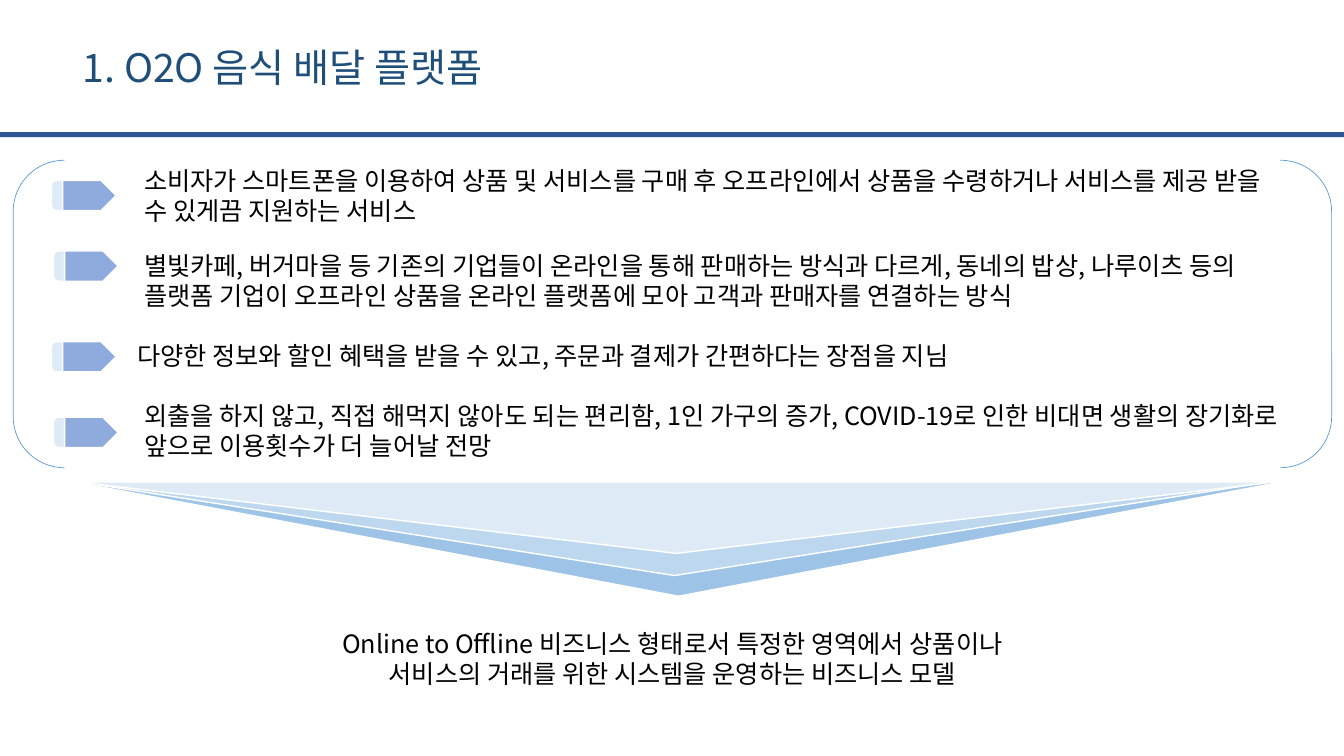
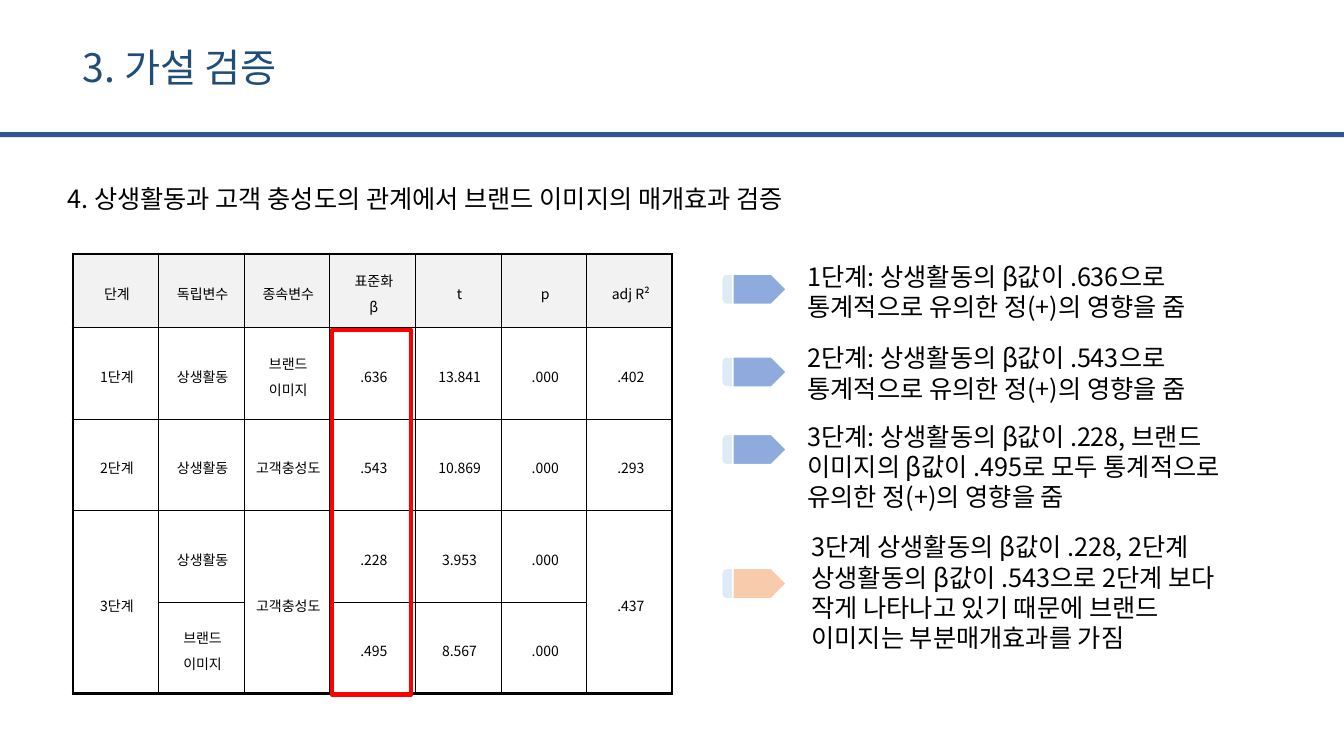
from dataclasses import dataclass
from typing import Optional

from lxml.etree import SubElement
from pptx import Presentation
from pptx.dml.color import RGBColor as RGB
from pptx.enum.shapes import MSO_SHAPE as SHAPE
from pptx.enum.text import MSO_ANCHOR as ANCHOR, MSO_AUTO_SIZE as FIT, PP_ALIGN as ALIGN
from pptx.oxml.ns import qn
from pptx.util import Emu, Inches, Pt


# Shared look: colours, type and line widths
@dataclass(frozen=True)
class Theme:
    font: str = "Noto Sans CJK KR"
    title: str = "1F4E79"
    band: str = "2F5597"
    ink: str = "000000"
    white: str = "FFFFFF"
    tab: str = "DEEBF7"
    arrow: str = "8FAADC"
    conclusion: str = "F8CBAD"
    bracket: str = "5B9BD5"
    funnel: tuple = ("9DC3E6", "BDD7EE", "DEEBF7")
    header: str = "F2F2F2"
    highlight: str = "FF0000"
    title_size: float = 28
    body_size: float = 18
    table_size: float = 10
    title_leading: float = 33.5
    body_leading: float = 21.5
    thin: float = 0.25
    thick: float = 1.7


THEME = Theme()
WIDTH, HEIGHT = Inches(13.33), Inches(7.5)


def across(percent: float) -> Emu:
    return Emu(round(WIDTH * percent / 100))


def down(percent: float) -> Emu:
    return Emu(round(HEIGHT * percent / 100))


@dataclass(frozen=True)
class Box:
    """Place and size as percentages of the slide."""
    left: float
    top: float
    width: float
    height: float

    def emu(self) -> tuple:
        return across(self.left), down(self.top), across(self.width), down(self.height)


@dataclass(frozen=True)
class Point:
    """A list entry and the marker beside it."""
    text: str
    marker_left: float
    marker_top: float
    gap: float = 0  # points above
    indent: float = 0  # inches
    colour: str = THEME.arrow


TITLE = Box(5.4, 5.07, 80, 7.6)
BAND = Box(0, 17.47, 100, 0.67)

# Slide 1 content
PLATFORM_LIST = Box(9.45, 21.2, 86.7, 40.67)
PLATFORM_POINTS = [
    Point("소비자가 스마트폰을 이용하여 상품 및 서비스를 구매 후 오프라인에서 상품을 "
          "수령하거나 서비스를 제공 받을 수 있게끔 지원하는 서비스", 3.83, 23.87, indent=0.07),
    Point("별빛카페, 버거마을 등 기존의 기업들이 온라인을 통해 판매하는 방식과 다르게, "
          "동네의 밥상, 나루이츠 등의 플랫폼 기업이 오프라인 상품을 온라인 플랫폼에 모아 "
          "고객과 판매자를 연결하는 방식", 3.98, 33.2, 18, 0.07),
    Point("다양한 정보와 할인 혜택을 받을 수 있고, 주문과 결제가 간편하다는 장점을 지님",
          3.83, 45.2, 21.5),
    Point("외출을 하지 않고, 직접 해먹지 않아도 되는 편리함, 1인 가구의 증가, COVID-19로 "
          "인한 비대면 생활의 장기화로 앞으로 이용횟수가 더 늘어날 전망", 3.98, 55.2, 21, 0.07),
]
BRACKET = Box(0.98, 21.2, 98.1, 40.67)
FUNNEL = [
    (SHAPE.PENTAGON, Box(46.2, -8.93, 8.55, 160.4), 90),
    (SHAPE.ISOSCELES_TRIANGLE, Box(5.4, 63.6, 89.55, 12.53), 180),
    (SHAPE.ISOSCELES_TRIANGLE, Box(5.7, 63.73, 89.25, 9.47), 180),
]
SUMMARY = Box(22.35, 82.53, 55.35, 9.47)
SUMMARY_LINES = ["Online to Offline 비즈니스 형태로서 특정한 영역에서 상품이나",
                 "서비스의 거래를 위한 시스템을 운영하는 비즈니스 모델"]

# Slide 2 content
HEADING = Box(4.28, 23.6, 86.2, 5.33)
FINDINGS_LIST = Box(59.33, 33.87, 33.4, 53.33)
FINDINGS = [
    Point("1단계: 상생활동의 β값이 .636으로 통계적으로 유의한 정(+)의 영향을 줌", 53.7, 36.27),
    Point("2단계: 상생활동의 β값이 .543으로 통계적으로 유의한 정(+)의 영향을 줌",
          53.7, 47.2, 15.5),
    Point("3단계: 상생활동의 β값이 .228, 브랜드 이미지의 β값이 .495로 모두 "
          "통계적으로 유의한 정(+)의 영향을 줌", 53.7, 57.47, 13),
    Point("3단계 상생활동의 β값이 .228, 2단계 상생활동의 β값이 .543으로 2단계 보다 작게 "
          "나타나고 있기 때문에 브랜드 이미지는 부분매개효과를 가짐",
          53.7, 75.2, 14.5, 0.04, THEME.conclusion),
]
REGRESSION = Box(5.4, 33.6, 44.62, 58.13)
HEADER_HEIGHT, ROW_HEIGHT = 9.73, 12.1
BETA_FRAME = Box(24.68, 43.6, 5.92, 48.27)
REGRESSION_ROWS = [
    ["단계", "독립변수", "종속변수", "표준화\nβ", "t", "p", "adj R²"],
    ["1단계", "상생활동", "브랜드\n이미지", ".636", "13.841", ".000", ".402"],
    ["2단계", "상생활동", "고객충성도", ".543", "10.869", ".000", ".293"],
    ["3단계", "상생활동", "고객충성도", ".228", "3.953", ".000", ".437"],
    ["", "브랜드\n이미지", "", ".495", "8.567", ".000", ""],
]
MERGED_COLUMNS = (0, 2, 6)


# Drawing helpers
def style(paragraph, size: float, leading, colour: str = THEME.ink,
          align=ALIGN.LEFT, gap: float = 0, indent: float = 0) -> None:
    """Format one paragraph; a float leading is a multiple, a Pt is exact."""
    properties = paragraph._p.get_or_add_pPr()
    properties.set("marL", str(Inches(indent)))
    properties.set("indent", "0")
    SubElement(properties, qn("a:buNone"))
    paragraph.alignment = align
    paragraph.line_spacing = leading
    paragraph.space_before = Pt(gap)
    font = paragraph.font
    font.size, font.name = Pt(size), THEME.font
    font.color.rgb = RGB.from_string(colour)
    SubElement(properties.find(qn("a:defRPr")), qn("a:ea"), typeface=THEME.font)


def draw(shapes, kind, box: Box, fill: Optional[str] = None,
         line: Optional[str] = None, weight: float = 1):
    shape = shapes.add_shape(kind, *box.emu())
    shape.shadow.inherit = False
    if fill:
        shape.fill.solid()
        shape.fill.fore_color.rgb = RGB.from_string(fill)
    else:
        shape.fill.background()
    if line:
        shape.line.color.rgb = RGB.from_string(line)
        shape.line.width = Pt(weight)
    else:
        shape.line.fill.background()
    return shape


def write(slide, box: Box, lines: list[str], align=ALIGN.LEFT) -> None:
    frame = slide.shapes.add_textbox(*box.emu()).text_frame
    frame.word_wrap = True
    frame.text = "\n".join(lines)
    for paragraph in frame.paragraphs:
        style(paragraph, THEME.body_size, Pt(THEME.body_leading), align=align)


def draw_marker(slide, point: Point) -> None:
    group = slide.shapes.add_group_shape().shapes
    left, top = point.marker_left, point.marker_top
    draw(group, SHAPE.ROUNDED_RECTANGLE, Box(left, top, 2.55, 4), THEME.tab, THEME.white)
    draw(group, SHAPE.PENTAGON, Box(left + 0.83, top, 3.98, 4), point.colour, THEME.white)


def add_points_slide(deck, title: str, body: Box, points: list[Point]):
    """Start a slide with its title, band and marked list."""
    slide = deck.slides.add_slide(deck.slide_layouts[1])
    draw(slide.shapes, SHAPE.RECTANGLE, BAND, THEME.band)
    heading, listing = slide.shapes.title, slide.placeholders[1]
    for holder, box in ((heading, TITLE), (listing, body)):
        holder.left, holder.top, holder.width, holder.height = box.emu()
        holder.text_frame.auto_size = FIT.NONE
        holder.text_frame.vertical_anchor = ANCHOR.TOP
    heading.text_frame.text = title
    style(heading.text_frame.paragraphs[0], THEME.title_size,
          Pt(THEME.title_leading), THEME.title)
    listing.text_frame.text = "\n".join(point.text for point in points)
    for paragraph, point in zip(listing.text_frame.paragraphs, points):
        style(paragraph, THEME.body_size, Pt(THEME.body_leading),
              gap=point.gap, indent=point.indent)
        draw_marker(slide, point)
    return slide


def set_border(cell, side: str, weight: float) -> None:
    edge = SubElement(cell._tc.get_or_add_tcPr(), qn(f"a:ln{side}"), w=str(Pt(weight)))
    SubElement(SubElement(edge, qn("a:solidFill")), qn("a:srgbClr"), val=THEME.ink)


def add_regression_table(slide) -> None:
    row_count, column_count = len(REGRESSION_ROWS), len(REGRESSION_ROWS[0])
    table = slide.shapes.add_table(row_count, column_count, *REGRESSION.emu()).table
    table.first_row = table.horz_banding = False
    for column in table.columns:
        column.width = across(REGRESSION.width / column_count)
    for index, row in enumerate(table.rows):
        row.height = down(ROW_HEIGHT if index else HEADER_HEIGHT)
    for column in MERGED_COLUMNS:
        table.cell(row_count - 2, column).merge(table.cell(row_count - 1, column))
    for r, values in enumerate(REGRESSION_ROWS):
        for c, value in enumerate(values):
            cell = table.cell(r, c)
            last_row = r + (cell.span_height if cell.is_merge_origin else 1) == row_count
            outer = {"L": c == 0, "R": c == column_count - 1, "T": r == 0, "B": last_row}
            for side, is_outer in outer.items():
                if not (cell.is_spanned and side == "T"):
                    set_border(cell, side, THEME.thick if is_outer else THEME.thin)
            if r == 0:
                cell.fill.solid()
                cell.fill.fore_color.rgb = RGB.from_string(THEME.header)
            else:
                cell.fill.background()
            cell.vertical_anchor = ANCHOR.MIDDLE
            cell.margin_left = cell.margin_right = Inches(0.07)
            cell.margin_top = cell.margin_bottom = Inches(0.02)
            if value:
                cell.text_frame.text = value
            for paragraph in cell.text_frame.paragraphs:
                style(paragraph, THEME.table_size, 1.3, align=ALIGN.CENTER, indent=0.03)


# Slides
def build_platform(deck) -> None:
    slide = add_points_slide(deck, "1. O2O 음식 배달 플랫폼", PLATFORM_LIST, PLATFORM_POINTS)
    write(slide, SUMMARY, SUMMARY_LINES, ALIGN.CENTER)
    draw(slide.shapes, SHAPE.DOUBLE_BRACKET, BRACKET, line=THEME.bracket, weight=0.5)
    for (kind, box, turn), colour in zip(FUNNEL, THEME.funnel):
        layer = draw(slide.shapes, kind, box, colour, THEME.white)
        layer.rotation = turn
        if kind == SHAPE.PENTAGON:
            layer.adjustments[0] = 1


def build_hypothesis(deck) -> None:
    slide = add_points_slide(deck, "3. 가설 검증", FINDINGS_LIST, FINDINGS)
    write(slide, HEADING, ["4. 상생활동과 고객 충성도의 관계에서 브랜드 이미지의 매개효과 검증"])
    add_regression_table(slide)
    draw(slide.shapes, SHAPE.RECTANGLE, BETA_FRAME, line=THEME.highlight, weight=3)


def main() -> None:
    deck = Presentation()
    deck.slide_width, deck.slide_height = WIDTH, HEIGHT
    build_platform(deck)
    build_hypothesis(deck)
    deck.save("out.pptx")


if __name__ == "__main__":
    main()
